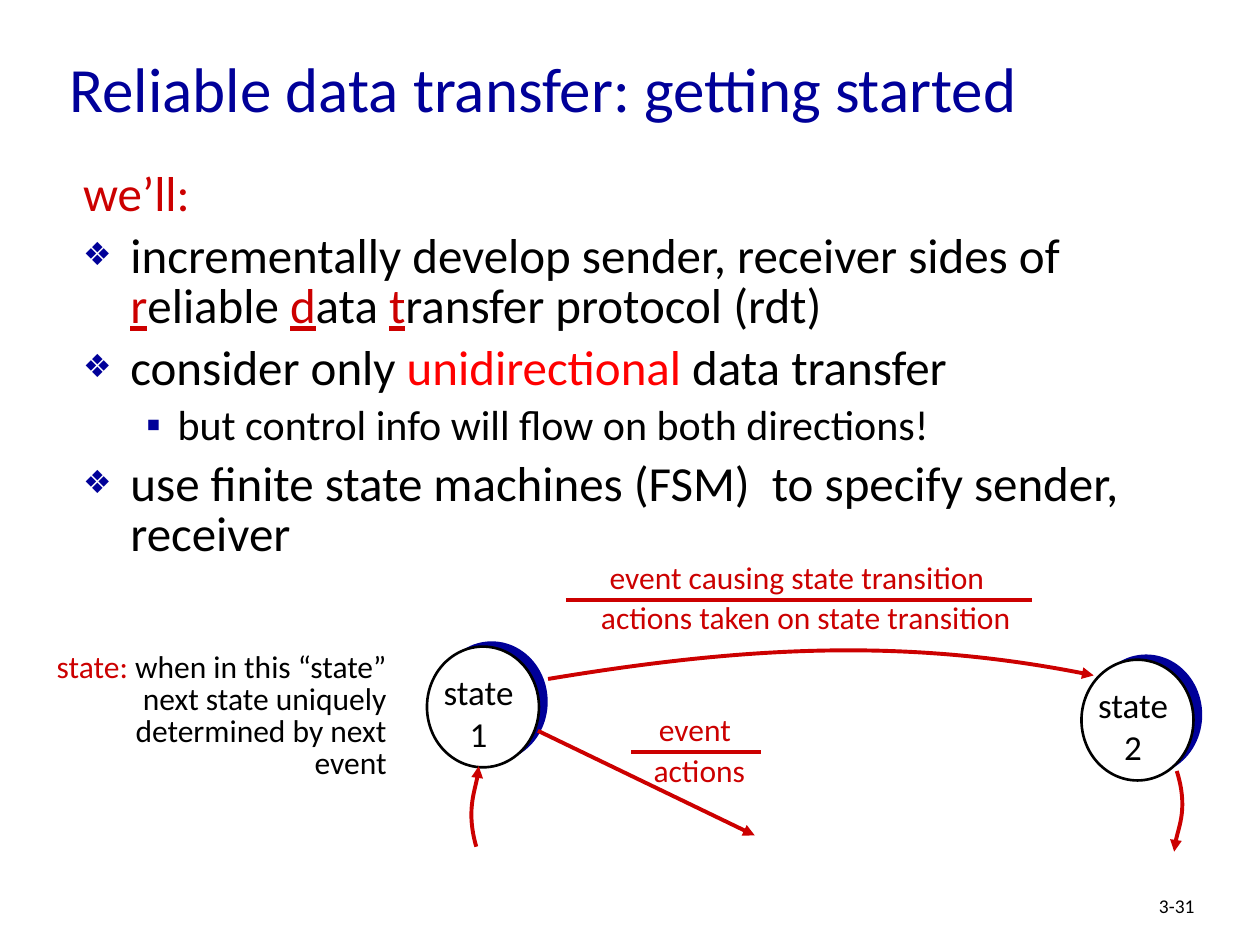
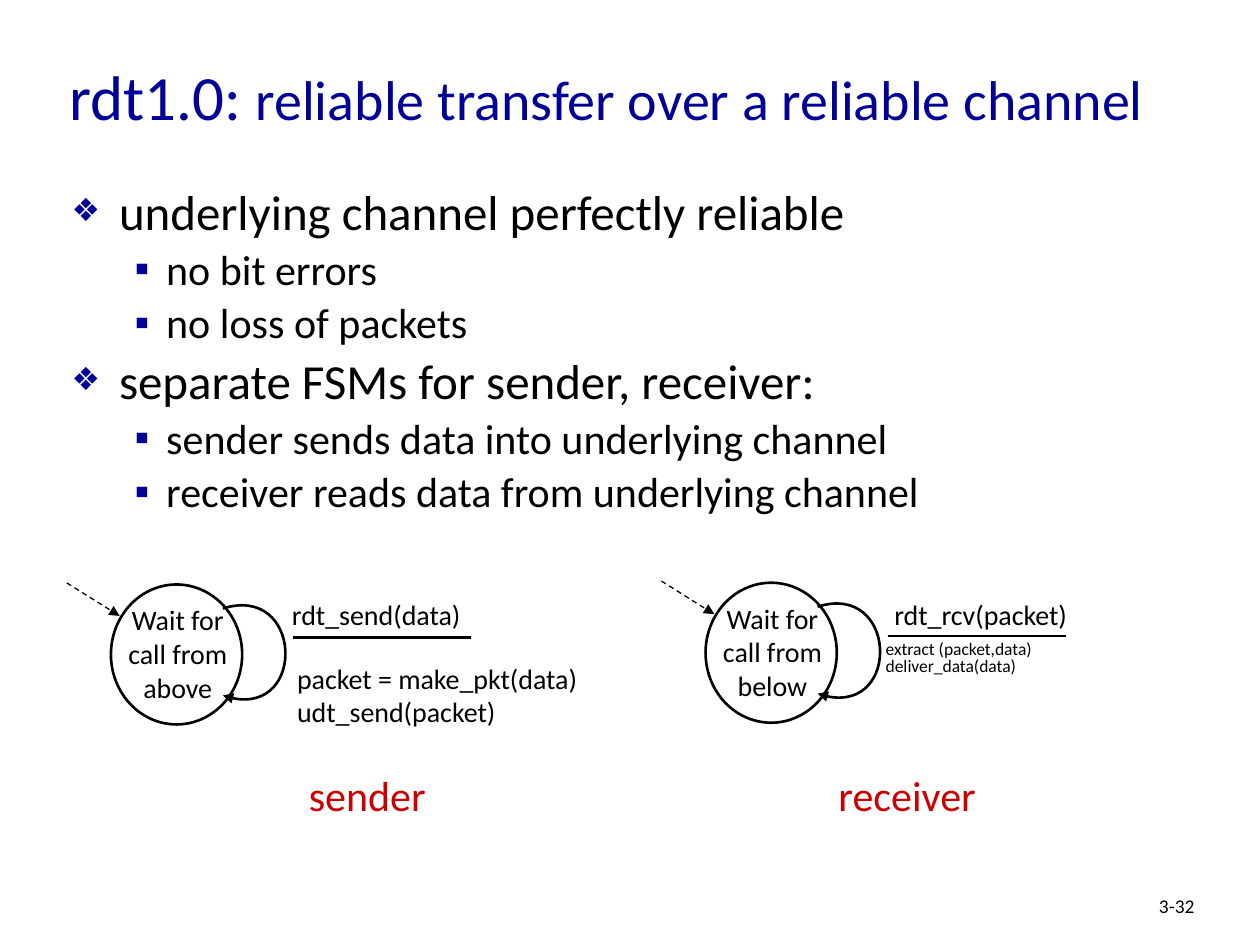
from dataclasses import dataclass

from lxml.etree import SubElement
from pptx import Presentation
from pptx.dml.color import RGBColor
from pptx.enum.dml import MSO_LINE_DASH_STYLE as Dash
from pptx.enum.shapes import MSO_CONNECTOR as Connector, MSO_SHAPE as Shape
from pptx.enum.text import MSO_ANCHOR as Anchor, MSO_AUTO_SIZE as AutoSize, PP_ALIGN as Align
from pptx.oxml.ns import qn
from pptx.util import Pt


@dataclass(frozen=True)
class Theme:
    font: str = "Calibri"
    navy: str = "000099"
    red: str = "CC0000"
    bright_red: str = "FF0000"
    black: str = "000000"
    white: str = "FFFFFF"
    title: float = 36
    subtitle: float = 32
    item: float = 28
    subitem: float = 24
    state: float = 20
    note: float = 18
    call: float = 16
    number: float = 11.1
    small: float = 10


THEME = Theme()
BULLETS = {
    "intro": dict(symbol=None, margin=27, hang=27),
    "item": dict(symbol="❖", margin=27, hang=27, percent=65),
    "subitem": dict(symbol="▪", margin=54, hang=18),
}


def rgb(color):
    return RGBColor.from_string(color)


def add_span(para, text, *, size, color=THEME.black, underline=None):
    span = para.add_run()
    span.text = text
    span.font.name = THEME.font
    span.font.size = Pt(size)
    span.font.color.rgb = rgb(color)
    span.font.underline = underline


def set_bullet(para, symbol, margin, hang, percent=100):
    properties = para._p.get_or_add_pPr()
    properties.set("marL", str(Pt(margin)))
    properties.set("indent", str(-Pt(hang)))
    if symbol is None:
        SubElement(properties, qn("a:buNone"))
        return
    bullet_color = SubElement(properties, qn("a:buClr"))
    SubElement(bullet_color, qn("a:srgbClr"), val=THEME.navy)
    SubElement(properties, qn("a:buSzPct"), val=str(percent * 1000))
    SubElement(properties, qn("a:buChar"), char=symbol)


def place(shape, left, top, width, height):
    shape.left, shape.top, shape.width, shape.height = map(Pt, (left, top, width, height))


def add_title(page, spans, width, height):
    title = page.shapes.title
    place(title, 32.4, 15.1, width, height)
    frame = title.text_frame
    frame.auto_size = AutoSize.NONE
    frame.vertical_anchor = Anchor.MIDDLE
    para = frame.paragraphs[0]
    para.alignment = Align.LEFT
    for text, size in spans:
        add_span(para, text, size=size, color=THEME.navy)


def add_list(page, entries, left, top, width, height):
    body = page.placeholders[1]
    place(body, left, top, width, height)
    frame = body.text_frame
    frame.auto_size = AutoSize.NONE
    for index, (kind, spans) in enumerate(entries):
        para = frame.add_paragraph() if index else frame.paragraphs[0]
        nested = kind == "subitem"
        para.level = int(nested)
        set_bullet(para, **BULLETS[kind])
        para.line_spacing = 0.85
        para.space_before = Pt((6 if nested else 7) if index else 0)
        size = THEME.subitem if nested else THEME.item
        for text, style in spans:
            add_span(para, text, size=size, **style)


def add_text(page, lines, left, top, width, height, *, size, color=THEME.black,
             align=Align.LEFT, spacing=None, wrap=True):
    box = page.shapes.add_textbox(*map(Pt, (left, top, width, height)))
    frame = box.text_frame
    frame.word_wrap = wrap
    frame.auto_size = AutoSize.NONE if wrap else AutoSize.SHAPE_TO_FIT_TEXT
    for index, line in enumerate(lines):
        para = frame.add_paragraph() if index else frame.paragraphs[0]
        para.alignment = align
        if spacing:
            para.line_spacing = spacing
        add_span(para, line, size=size, color=color)
    return box


def add_circle(page, left, top, width, height, *, fill, outlined=True):
    circle = page.shapes.add_shape(Shape.OVAL, *map(Pt, (left, top, width, height)))
    circle.shadow.inherit = False
    circle.fill.solid()
    circle.fill.fore_color.rgb = rgb(fill)
    if outlined:
        circle.line.color.rgb = rgb(THEME.black)
        circle.line.width = Pt(1.5)
    else:
        circle.line.fill.background()


def style_line(shape, color, weight, arrow, dash=None):
    shape.line.color.rgb = rgb(color)
    shape.line.width = Pt(weight)
    if dash:
        shape.line.dash_style = dash
    if arrow:
        SubElement(shape.element.xpath(".//a:ln")[0], qn("a:tailEnd"), type="triangle")


def add_line(page, start, end, *, color, weight, arrow=False, dash=None):
    line = page.shapes.add_connector(Connector.STRAIGHT, *map(Pt, (*start, *end)))
    style_line(line, color, weight, arrow, dash)
    SubElement(line.element.spPr, qn("a:effectLst"))


def add_curved_arrow(page, points, *, color, weight):
    start, *controls = [(Pt(x), Pt(y)) for x, y in points]
    builder = page.shapes.build_freeform(*start)
    builder.add_line_segments(controls, close=False)
    curve = builder.convert_to_shape()
    curve.shadow.inherit = False
    curve.fill.background()
    segments = curve.element.xpath(".//a:lnTo")
    outline = segments[0].getparent()
    bezier = SubElement(outline, qn("a:cubicBezTo"))
    for segment in segments:
        bezier.append(segment[0])
        outline.remove(segment)
    style_line(curve, color, weight, arrow=True)


def add_state(page, number, left, top):
    add_circle(page, left + 5, top - 3, 64, 69, fill=THEME.navy, outlined=False)
    add_circle(page, left, top, 64, 69, fill=THEME.white)
    add_text(page, ["state", number], left + 2, top + 10, 55, 55.5,
             size=THEME.state, align=Align.CENTER, wrap=False)


def add_transition_label(page, event, actions, start, end, level):
    style = dict(size=THEME.note, color=THEME.red, align=Align.CENTER, wrap=False)
    for (text, left, width), rise in ((event, 27.5), (actions, 4.3)):
        add_text(page, [text], left, level - rise, width, 28.8, **style)
    add_line(page, (start, level), (end, level), color=THEME.red, weight=2.25)


def add_waiting_state(page, text, left, top):
    def at(x, y):
        return left + x, top + y

    add_circle(page, left, top, 75, 80, fill=THEME.white)
    add_text(page, [text], *at(-5, 7), 86.4, 72, size=THEME.call, align=Align.CENTER)
    add_curved_arrow(page, [at(64, 13.7), at(109.4, -0.6), at(112.3, 80), at(64, 63.4)],
                     color=THEME.black, weight=1.5)
    add_line(page, at(-25.2, -0.9), at(5, 18), color=THEME.black, weight=0.75,
             arrow=True, dash=Dash.DASH)
    add_line(page, at(104, 30.4), at(206, 30.4), color=THEME.black, weight=1.5)


def add_page(deck, number):
    page = deck.slides.add_slide(deck.slide_layouts[1])
    add_text(page, [number], 655.2, 509, 53.3, 21.6, size=THEME.number, spacing=0.9)
    return page


def build_getting_started(deck):
    page = add_page(deck, "3-31")
    add_title(page, [("Reliable data transfer: getting started", THEME.title)], 612, 69.8)
    initial = dict(color=THEME.red, underline=True)
    add_list(page, [
        ("intro", [("we’ll:", dict(color=THEME.red))]),
        ("item", [
            ("incrementally develop sender, receiver sides of ", {}),
            ("r", initial), ("eliable ", {}),
            ("d", initial), ("ata ", {}),
            ("t", initial), ("ransfer protocol (rdt)", {}),
        ]),
        ("item", [
            ("consider only ", {}),
            ("unidirectional", dict(color=THEME.bright_red)),
            (" data transfer", {}),
        ]),
        ("subitem", [("but control info will flow on both directions!", {})]),
        ("item", [("use finite state machines (FSM)  to specify sender, receiver", {})]),
    ], 40.3, 94.3, 625.7, 264.2)

    add_state(page, "1", 244, 369.5)
    add_state(page, "2", 618, 377)
    for points in (
        [(313.2, 388), (429.8, 368.6), (522.7, 365), (625, 386)],
        [(272.2, 483.8), (266.4, 463.7), (273.6, 445), (273.6, 437.8)],
        [(672.5, 440.6), (679, 461.5), (671, 479.5), (671, 486.7)],
    ):
        add_curved_arrow(page, points, color=THEME.red, weight=2.25)
    add_line(page, (307.4, 417.6), (431.3, 477.4), color=THEME.red, weight=2.25, arrow=True)
    add_transition_label(page, ("event causing state transition", 338.6, 233.7),
                         ("actions taken on state transition", 333.5, 253.8),
                         323.3, 589.7, 342.7)
    add_transition_label(page, ("event", 367.1, 60), ("actions", 362.6, 74),
                         360.7, 434.9, 429.8)

    definition = add_text(page, ["state:"], 10, 369.4, 218, 97, size=THEME.note,
                          color=THEME.red, align=Align.RIGHT, spacing=0.85)
    para = definition.text_frame.paragraphs[0]
    set_bullet(para, **BULLETS["intro"])
    add_span(para, " when in this “state” next state uniquely determined by next event",
             size=THEME.note)


def build_reliable_channel(deck):
    page = add_page(deck, "3-32")
    add_title(page, [("rdt1.0: ", THEME.title),
                     ("reliable transfer over a reliable channel", THEME.subtitle)], 684, 79.2)
    entries = [
        ("item", "underlying channel perfectly reliable"),
        ("subitem", "no bit errors"),
        ("subitem", "no loss of packets"),
        ("item", "separate FSMs for sender, receiver:"),
        ("subitem", "sender sends data into underlying channel"),
        ("subitem", "receiver reads data from underlying channel"),
    ]
    add_list(page, [(kind, [(text, {})]) for kind, text in entries], 33.8, 105.1, 622, 237.6)

    add_waiting_state(page, "Wait for call from above", 63.4, 334)
    add_waiting_state(page, "Wait for call from below", 403.2, 333)
    add_text(page, ["rdt_send(data)"], 159.8, 337.7, 177.8, 33.8, size=THEME.call)
    add_text(page, ["rdt_rcv(packet)"], 504, 337.7, 118, 26.6, size=THEME.call)
    add_text(page, ["packet = make_pkt(data)", "udt_send(packet)"],
             162.7, 374.4, 211, 46.8, size=THEME.call)
    add_text(page, ["extract (packet,data)", "deliver_data(data)"],
             499, 363.6, 195.8, 33.8, size=THEME.small, spacing=0.8)
    for role, left, width in (("sender", 169.2, 81.4), ("receiver", 471.6, 93.6)):
        add_text(page, [role], left, 436.3, width, 36, size=THEME.subitem,
                 color=THEME.red, align=Align.CENTER, wrap=False)


def main():
    deck = Presentation()
    deck.slide_width, deck.slide_height = Pt(720), Pt(540)
    build_getting_started(deck)
    build_reliable_channel(deck)
    deck.save("out.pptx")


if __name__ == "__main__":
    main()
